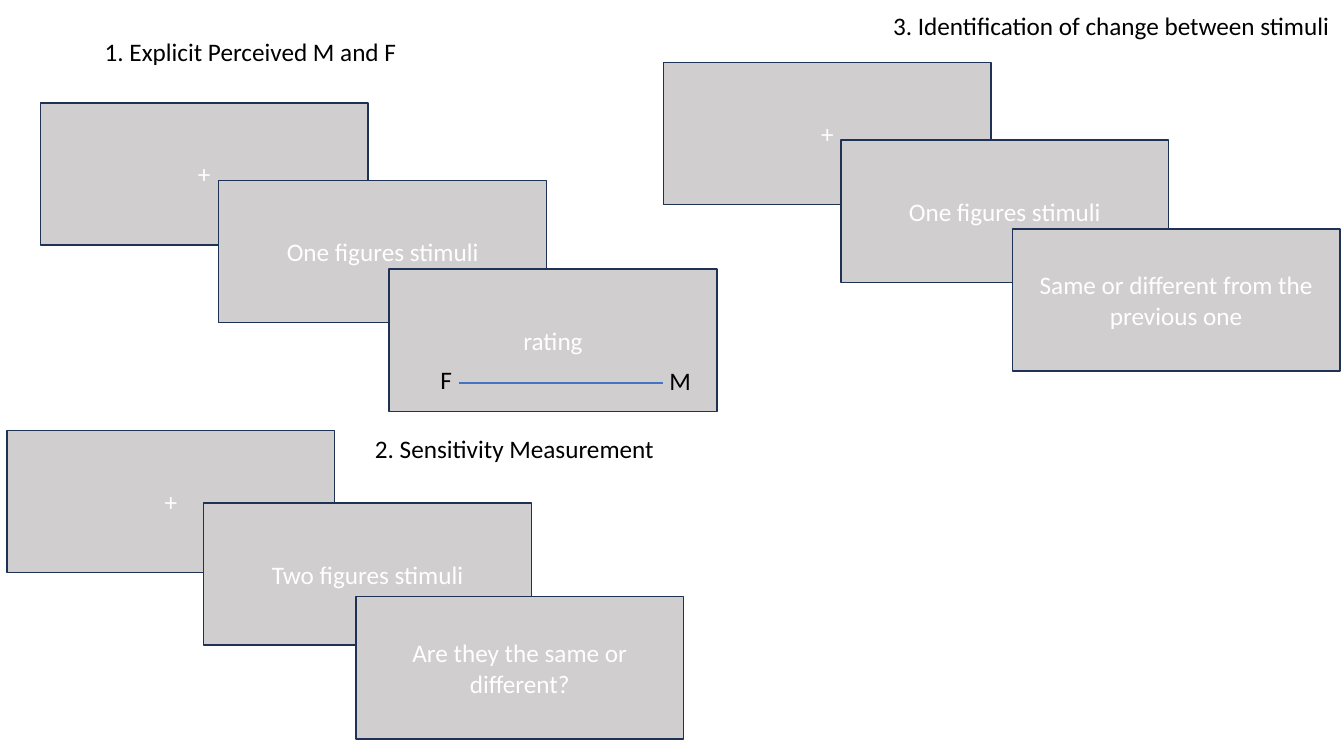
from dataclasses import dataclass

from lxml import etree
from pptx import Presentation
from pptx.dml.color import RGBColor
from pptx.enum.shapes import MSO_CONNECTOR, MSO_SHAPE
from pptx.enum.text import MSO_ANCHOR, PP_ALIGN
from pptx.oxml.ns import qn
from pptx.slide import Slide
from pptx.text.text import TextFrame
from pptx.util import Inches, Pt

RECTANGLE = MSO_SHAPE.RECTANGLE
STRAIGHT = MSO_CONNECTOR.STRAIGHT
MIDDLE = MSO_ANCHOR.MIDDLE
CENTER = PP_ALIGN.CENTER

WHITE = RGBColor(0xFF, 0xFF, 0xFF)
BLACK = RGBColor(0x00, 0x00, 0x00)
SCREEN_GREY = RGBColor(0xD0, 0xCE, 0xCE)
BORDER_NAVY = RGBColor(0x1E, 0x32, 0x56)
SCALE_BLUE = RGBColor(0x44, 0x72, 0xC4)

FONT_NAME = "Calibri"
FONT_SIZE = Pt(18)
LINE_WIDTH = Pt(1)
SCREEN_WIDTH, SCREEN_HEIGHT = 3.25, 1.41
RESPONSE_OFFSET = (3.46, 1.65)
SCALE_Y = 3.8


@dataclass(frozen=True)
class Label:
    text: str
    left: float
    top: float
    width: float
    height: float = 0.4


@dataclass(frozen=True)
class Task:
    heading: Label
    left: float
    top: float
    stimulus_offset: tuple[float, float]
    stimulus: str
    response: str


TASKS = (
    Task(Label("1. Explicit Perceived M and F", 0.94, 0.31, 3.5, 0.71),
         0.4, 1.02, (1.77, 0.77), "One figures stimuli", "rating"),
    Task(Label("2. Sensitivity Measurement", 3.62, 4.25, 4.25),
         0.07, 4.27, (1.95, 0.72), "Two figures stimuli",
         "Are they the same or different?"),
    Task(Label("3. Identification of change between stimuli", 8.76, 0.05, 4.57),
         6.58, 0.62, (1.76, 0.77), "One figures stimuli",
         "Same or different from the previous one"),
)
SCALE_ENDS = (Label("F", 4.27, 3.57, 0.35), Label("M", 6.54, 3.58, 0.35))


def write_text(frame: TextFrame, text: str, color: RGBColor) -> None:
    frame.word_wrap = True
    run = frame.paragraphs[0].add_run()
    run.text = text
    run.font.name = FONT_NAME
    run.font.size = FONT_SIZE
    run.font.color.rgb = color


def add_label(slide: Slide, label: Label) -> None:
    box = slide.shapes.add_textbox(Inches(label.left), Inches(label.top),
                                   Inches(label.width), Inches(label.height))
    write_text(box.text_frame, label.text, BLACK)


def add_screen(slide: Slide, text: str, left: float, top: float) -> None:
    screen = slide.shapes.add_shape(RECTANGLE, Inches(left), Inches(top),
                                    Inches(SCREEN_WIDTH), Inches(SCREEN_HEIGHT))
    screen.shadow.inherit = False
    screen.fill.solid()
    screen.fill.fore_color.rgb = SCREEN_GREY
    screen.line.color.rgb = BORDER_NAVY
    screen.line.width = LINE_WIDTH
    screen.text_frame.vertical_anchor = MIDDLE
    screen.text_frame.paragraphs[0].alignment = CENTER
    write_text(screen.text_frame, text, WHITE)


def add_task(slide: Slide, task: Task) -> None:
    offsets = ((0, 0), task.stimulus_offset, RESPONSE_OFFSET)
    texts = ("+", task.stimulus, task.response)
    for text, (right, down) in zip(texts, offsets):
        add_screen(slide, text, task.left + right, task.top + down)
    add_label(slide, task.heading)


def add_rating_scale(slide: Slide) -> None:
    scale = slide.shapes.add_connector(STRAIGHT, Inches(4.55), Inches(SCALE_Y),
                                       Inches(6.58), Inches(SCALE_Y))
    scale.line.color.rgb = SCALE_BLUE
    scale.line.width = LINE_WIDTH
    etree.SubElement(scale._element.spPr, qn("a:effectLst"))
    for label in SCALE_ENDS:
        add_label(slide, label)


def main() -> None:
    presentation = Presentation()
    presentation.slide_width = Inches(13.33)
    presentation.slide_height = Inches(7.5)
    slide = presentation.slides.add_slide(presentation.slide_layouts[6])
    for task in TASKS:
        add_task(slide, task)
    add_rating_scale(slide)
    presentation.save("out.pptx")


if __name__ == "__main__":
    main()
